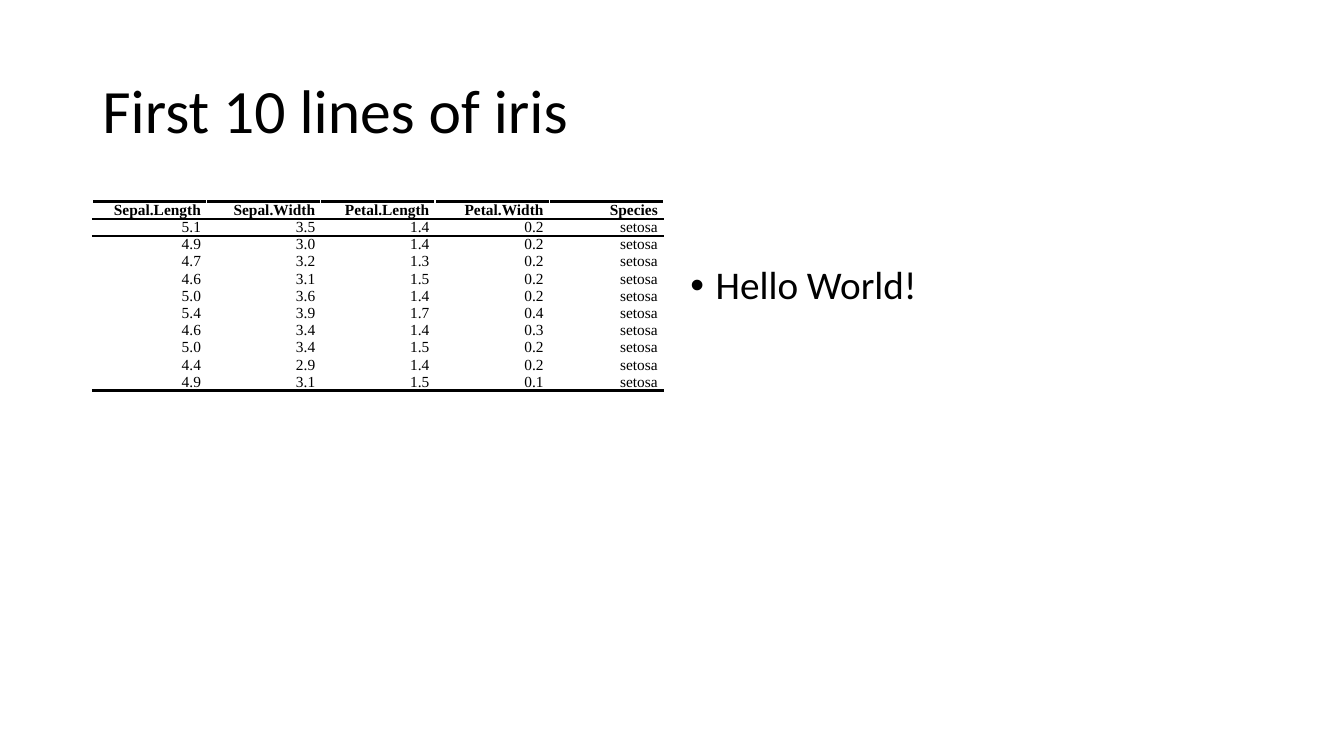
import pptx
import pptx.dml.color
import pptx.enum.text
import pptx.oxml
import pptx.oxml.ns
import pptx.util

Pt = pptx.util.Pt
MIDDLE = pptx.enum.text.MSO_ANCHOR.MIDDLE
ALIGN = pptx.enum.text.PP_ALIGN
BLACK = "000000"


def format_text(para, font, size, color, bold=False):
    for span in para.runs:
        span.font.name = font
        span.font.size = Pt(size)
        span.font.bold = bold
        span.font.color.rgb = pptx.dml.color.RGBColor.from_string(color)


def add_rule(cell, side, color, width):
    line = pptx.oxml.parse_xml(
        f'<a:{side} {pptx.oxml.ns.nsdecls("a")} w="{Pt(width)}">'
        f'<a:solidFill><a:srgbClr val="{color}"/></a:solidFill></a:{side}>')
    cell.fill.background()
    # Border lines come before the fill
    cell_format = cell._tc.get_or_add_tcPr()
    cell_format.insert(len(cell_format) - 1, line)


deck = pptx.Presentation()
deck.slide_width, deck.slide_height = Pt(960), Pt(540)
page = deck.slides.add_slide(deck.slide_layouts[1])
title, body = page.placeholders

# Title
title.left, title.top, title.width, title.height = Pt(66), Pt(28.75), Pt(828), Pt(104.4)
title.text_frame.text = "First 10 lines of iris"
title.text_frame.vertical_anchor = MIDDLE
title.text_frame.auto_size = pptx.enum.text.MSO_AUTO_SIZE.NONE
para = title.text_frame.paragraphs[0]
para.alignment = ALIGN.LEFT
para.line_spacing = 0.9
format_text(para, "Calibri", 44, BLACK)

# Iris table
rows = [
    ("Sepal.Length", "Sepal.Width", "Petal.Length", "Petal.Width", "Species"),
    ("5.1", "3.5", "1.4", "0.2", "setosa"),
    ("4.9", "3.0", "1.4", "0.2", "setosa"),
    ("4.7", "3.2", "1.3", "0.2", "setosa"),
    ("4.6", "3.1", "1.5", "0.2", "setosa"),
    ("5.0", "3.6", "1.4", "0.2", "setosa"),
    ("5.4", "3.9", "1.7", "0.4", "setosa"),
    ("4.6", "3.4", "1.4", "0.3", "setosa"),
    ("5.0", "3.4", "1.5", "0.2", "setosa"),
    ("4.4", "2.9", "1.4", "0.2", "setosa"),
    ("4.9", "3.1", "1.5", "0.1", "setosa"),
]
row_height = 12.3
table = page.shapes.add_table(len(rows), len(rows[0]), Pt(66), Pt(144),
                              Pt(408), Pt(row_height * len(rows))).table
table.first_row = table.horz_banding = False
for row_index, values in enumerate(rows):
    table.rows[row_index].height = Pt(row_height)
    for column_index, value in enumerate(values):
        cell = table.cell(row_index, column_index)
        cell.text_frame.text = value
        cell.fill.background()
        cell.vertical_anchor = MIDDLE
        cell.margin_left = cell.margin_right = cell.margin_top = cell.margin_bottom = 0
        para = cell.text_frame.paragraphs[0]
        para.alignment = ALIGN.RIGHT
        para.space_before = para.space_after = Pt(1)
        indents = para._p.get_or_add_pPr()
        indents.set("marL", str(Pt(4)))
        indents.set("marR", str(Pt(4)))
        format_text(para, "Times New Roman", 11, BLACK, bold=row_index == 0)
        if row_index <= 1:
            add_rule(cell, "lnT", BLACK, 2)
        if row_index in (0, len(rows) - 1):
            add_rule(cell, "lnB", BLACK, 2)

# Bullet list
body.left, body.top, body.width, body.height = Pt(486), Pt(144), Pt(408), Pt(342.7)
body.text_frame.text = "Hello World!"
body.text_frame.auto_size = pptx.enum.text.MSO_AUTO_SIZE.NONE
body.text_frame.margin_top = Pt(46)
para = body.text_frame.paragraphs[0]
para.line_spacing = 0.9
para.space_before = Pt(0)
indents = para._p.get_or_add_pPr()
indents.set("marL", str(Pt(18)))
indents.set("indent", str(Pt(-18)))
format_text(para, "Calibri", 28, BLACK)

deck.save("out.pptx")
